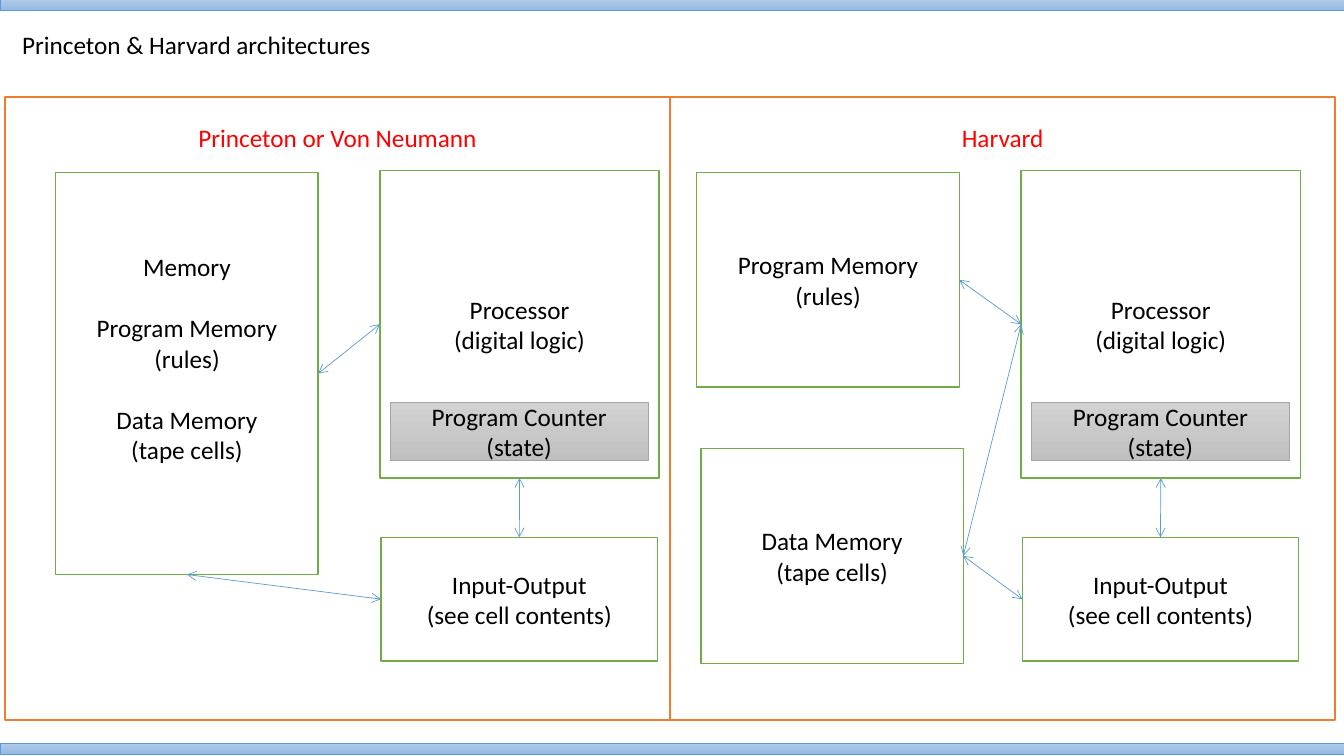
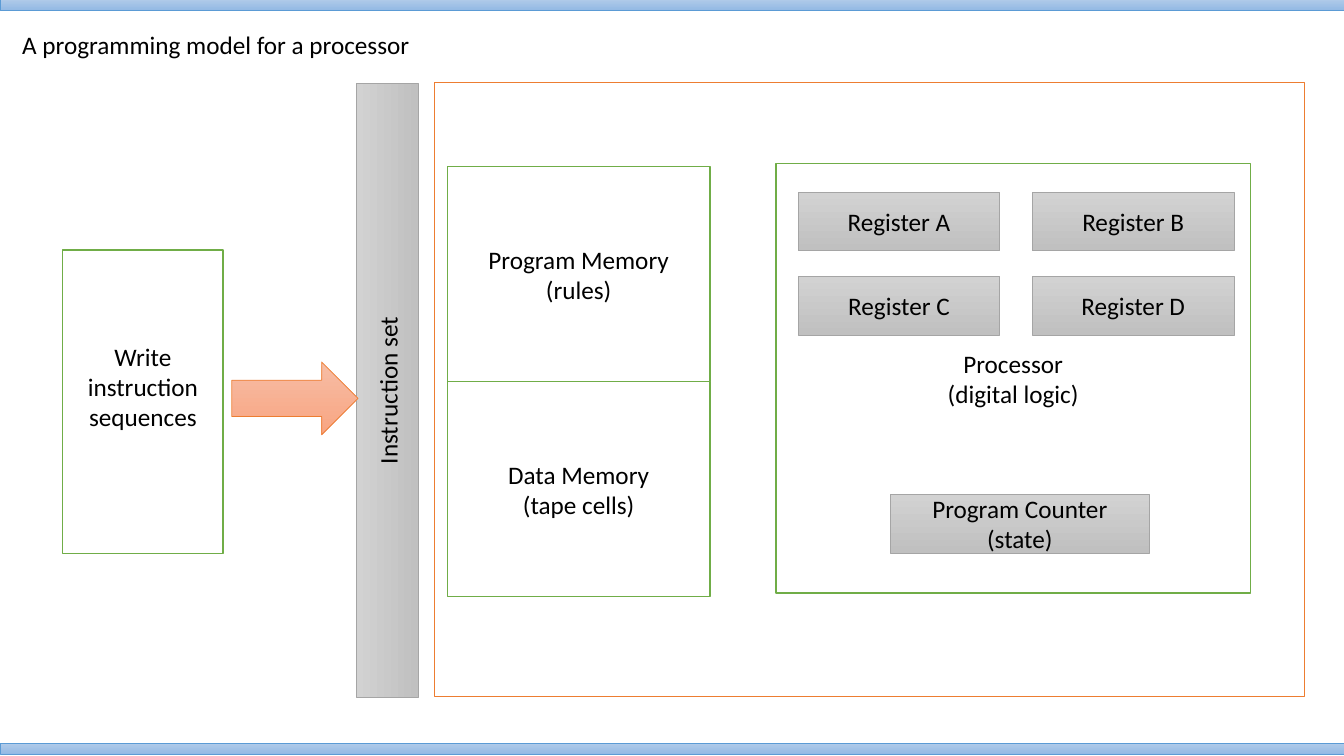
from dataclasses import dataclass

from lxml import etree
from pptx import Presentation
from pptx.dml.color import RGBColor
from pptx.enum.shapes import MSO_CONNECTOR, MSO_SHAPE
from pptx.enum.text import MSO_ANCHOR, PP_ALIGN
from pptx.oxml.ns import qn
from pptx.util import Pt

RECT, ARROW = MSO_SHAPE.RECTANGLE, MSO_SHAPE.RIGHT_ARROW
LINE = MSO_CONNECTOR.STRAIGHT
TOP, MIDDLE = MSO_ANCHOR.TOP, MSO_ANCHOR.MIDDLE
LEFT, CENTER = PP_ALIGN.LEFT, PP_ALIGN.CENTER


@dataclass(frozen=True)
class Theme:
    font: str = "Calibri"
    size: float = 18
    gap: float = 22
    ink: str = "000000"
    head: str = "FF0000"
    link: str = "5B9BD5"
    thin: float = 0.5


THEME = Theme()

# Look of each kind: fill stops, line colour, line width
LOOKS = {
    "panel": (("FFFFFF",), "ED7D31", 1),
    "box": (("FFFFFF",), "70AD47", 1),
    "chip": (("D2D2D2", "C0C0C0"), "A5A5A5", 0.5),
    "band": (("B1CBE9", "93B9E4"), "5B9BD5", 0.5),
    "arrow": (("F7BDA5", "F8A582"), "ED7D31", 0.5),
}

# Text: each item is a group of lines, with a gap between groups
RULES = "Program Memory\n(rules)"
CELLS = "Data Memory\n(tape cells)"
LOGIC = "Processor\n(digital logic)"
COUNT = "Program Counter\n(state)"
PORTS = "Input-Output\n(see cell contents)"

# Slide 1: panels, the parts both designs share, and the memories
PANELS = ["Princeton or Von Neumann", "Harvard"]
PANEL = (3.6, 69.3, 475, 445)
SHIFT = 458
CORE = [
    ("cpu", "box", [LOGIC], (271.4, 121.7, 199.5, 219.8)),
    ("io", "box", [PORTS], (272.2, 383.8, 197.5, 88.4)),
    ("count", "chip", [COUNT], (278.6, 287.3, 184.5, 41.8)),
]
STORES = [
    ("all", "box", ["Memory", RULES, CELLS], (39.8, 123.2, 187.5, 287.2)),
    ("rules", "box", [RULES], (497.7, 123.2, 187.5, 153.4)),
    ("cells", "box", [CELLS], (500.6, 320.4, 187.5, 153.4)),
]
# Links: part and side at each end
LINKS = [
    ("all", "bottom", "io0", "left"),
    ("cpu0", "bottom", "io0", "top"),
    ("all", "right", "cpu0", "left"),
    ("rules", "right", "cpu1", "left"),
    ("cells", "right", "cpu1", "left"),
    ("cells", "right", "io1", "left"),
    ("cpu1", "bottom", "io1", "top"),
]
SIDES = ["top", "left", "bottom", "right"]

# Slide 2: machine, memories, registers
MACHINE = (310.3, 59, 621.4, 438.5)
CPU = (554.2, 116.7, 339, 307)
COUNTER = (636.2, 353.2, 184.5, 41.8)
STACK = [RULES, CELLS]
STORE = (319.6, 119, 187.5, 153.6)
NAMES = ["Register A", "Register B", "Register C", "Register D"]
REG = (570.2, 137.4, 144, 41.8)
STEP = (167.3, 60)
BAR = (57.5, 257, 438.5, 44)
FLOW = (165.6, 258.6, 90.2, 52)
WRITE = (44.8, 178.6, 114.6, 216.7)


def rgb(code):
    return RGBColor.from_string(code)


def write(frame, groups, color=THEME.ink, align=CENTER, anchor=MIDDLE):
    frame.word_wrap = True
    frame.vertical_anchor = anchor
    frame.text = "\n".join(groups)
    starts, count = set(), 0
    for group in groups:
        starts.add(count)
        count += group.count("\n") + 1
    for i, para in enumerate(frame.paragraphs):
        para.alignment = align
        if i and i in starts:
            para.space_before = Pt(THEME.gap)
        for run in para.runs:
            font = run.font
            font.name, font.size = THEME.font, Pt(THEME.size)
            font.color.rgb = rgb(color)


def add(slide, kind, place, groups=(), form=RECT, **style):
    shape = slide.shapes.add_shape(form, *map(Pt, place))
    shape.shadow.inherit = False
    stops, edge, width = LOOKS[kind]
    if len(stops) == 1:
        shape.fill.solid()
        shape.fill.fore_color.rgb = rgb(stops[0])
    else:
        shape.fill.gradient()
        shape.fill.gradient_angle = 270
        for i, (stop, code) in enumerate(zip(shape.fill.gradient_stops, stops)):
            stop.position = i
            stop.color.rgb = rgb(code)
    shape.line.color.rgb = rgb(edge)
    shape.line.width = Pt(width)
    if groups:
        write(shape.text_frame, groups, **style)
    return shape


def link(slide, start, near, end, far):
    wire = slide.shapes.add_connector(LINE, 0, 0, 0, 0)
    wire.begin_connect(start, SIDES.index(near))
    wire.end_connect(end, SIDES.index(far))
    wire.line.color.rgb = rgb(THEME.link)
    wire.line.width = Pt(THEME.thin)
    edge = wire.line._get_or_add_ln()
    for tag in ("a:headEnd", "a:tailEnd"):
        etree.SubElement(edge, qn(tag), type="arrow")
    etree.SubElement(wire._element.spPr, qn("a:effectLst"))


def page(deck, title):
    """Add a slide with its two bands and title."""
    slide = deck.slides.add_slide(deck.slide_layouts[6])
    for y in (-0.5, 530.8):
        add(slide, "band", (0, y, 960, 8))
    box = slide.shapes.add_textbox(*map(Pt, (8.8, 17.4, 884, 30)))
    write(box.text_frame, [title], align=LEFT, anchor=TOP)
    return slide


def designs(deck):
    slide = page(deck, "Princeton & Harvard architectures")
    parts = {}
    x, y, w, h = PANEL
    for i, name in enumerate(PANELS):
        panel = add(slide, "panel", (x + i * w, y, w, h), [name],
                    color=THEME.head, anchor=TOP)
        panel.text_frame.margin_top = Pt(18)
    for i in range(len(PANELS)):
        for key, kind, text, (left, *rest) in CORE:
            place = (left + i * SHIFT, *rest)
            parts[f"{key}{i}"] = add(slide, kind, place, text)
    for key, kind, text, place in STORES:
        parts[key] = add(slide, kind, place, text)
    parts["all"].text_frame.margin_bottom = Pt(THEME.gap + 3.6)
    for start, near, end, far in LINKS:
        link(slide, parts[start], near, parts[end], far)


def model(deck):
    slide = page(deck, "A programming model for a processor")
    add(slide, "panel", MACHINE)
    add(slide, "box", CPU, [LOGIC])
    add(slide, "chip", COUNTER, [COUNT])
    # Registers in a two by two grid
    x, y, w, h = REG
    for i, name in enumerate(NAMES):
        row, col = divmod(i, 2)
        add(slide, "chip", (x + col * STEP[0], y + row * STEP[1], w, h), [name])
    # Memories stacked edge to edge
    x, y, w, h = STORE
    for i, text in enumerate(STACK):
        add(slide, "box", (x, y + i * h, w, h), [text])
    # Program flow into the machine
    add(slide, "chip", BAR, ["Instruction set"]).rotation = 270
    add(slide, "arrow", FLOW, form=ARROW)
    task = add(slide, "box", WRITE, ["Write\ninstruction\nsequences"])
    task.text_frame.margin_bottom = Pt(THEME.gap + 3.6)


def main():
    deck = Presentation()
    deck.slide_width, deck.slide_height = Pt(960), Pt(540)
    designs(deck)
    model(deck)
    deck.save("out.pptx")


if __name__ == "__main__":
    main()
